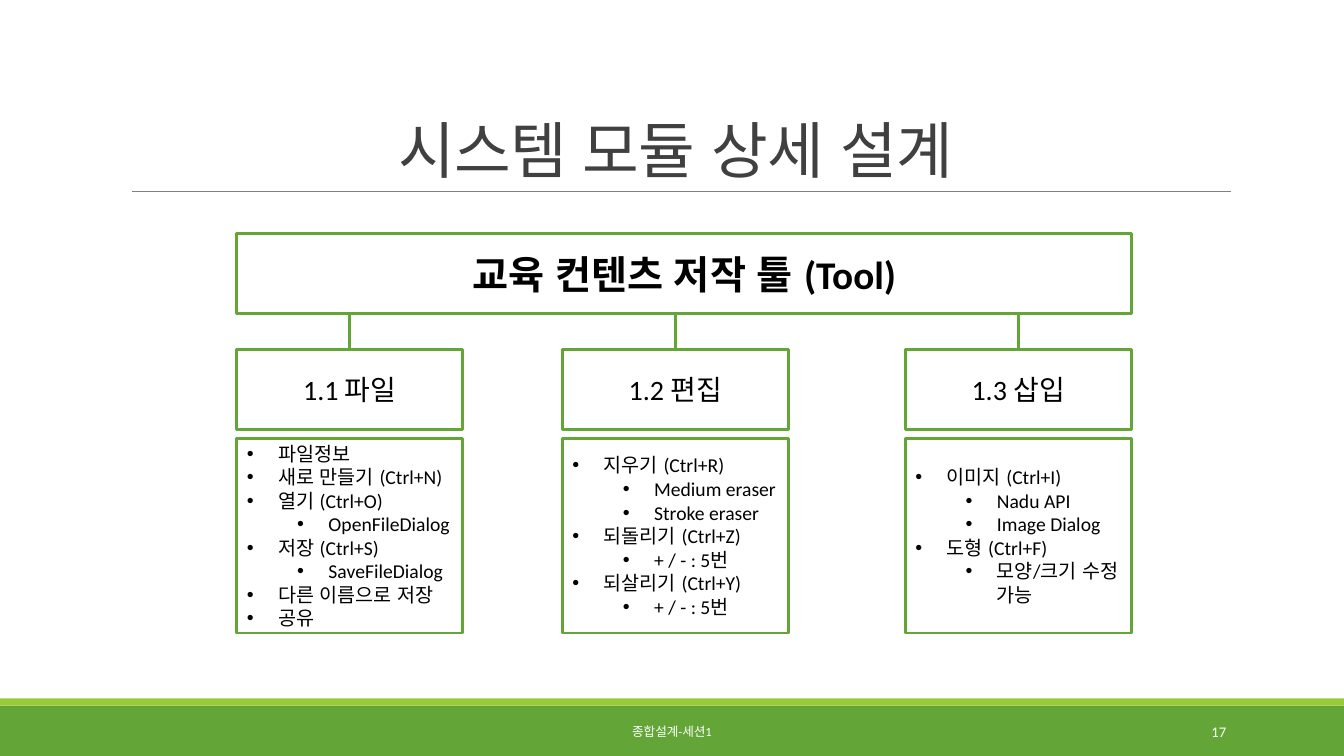
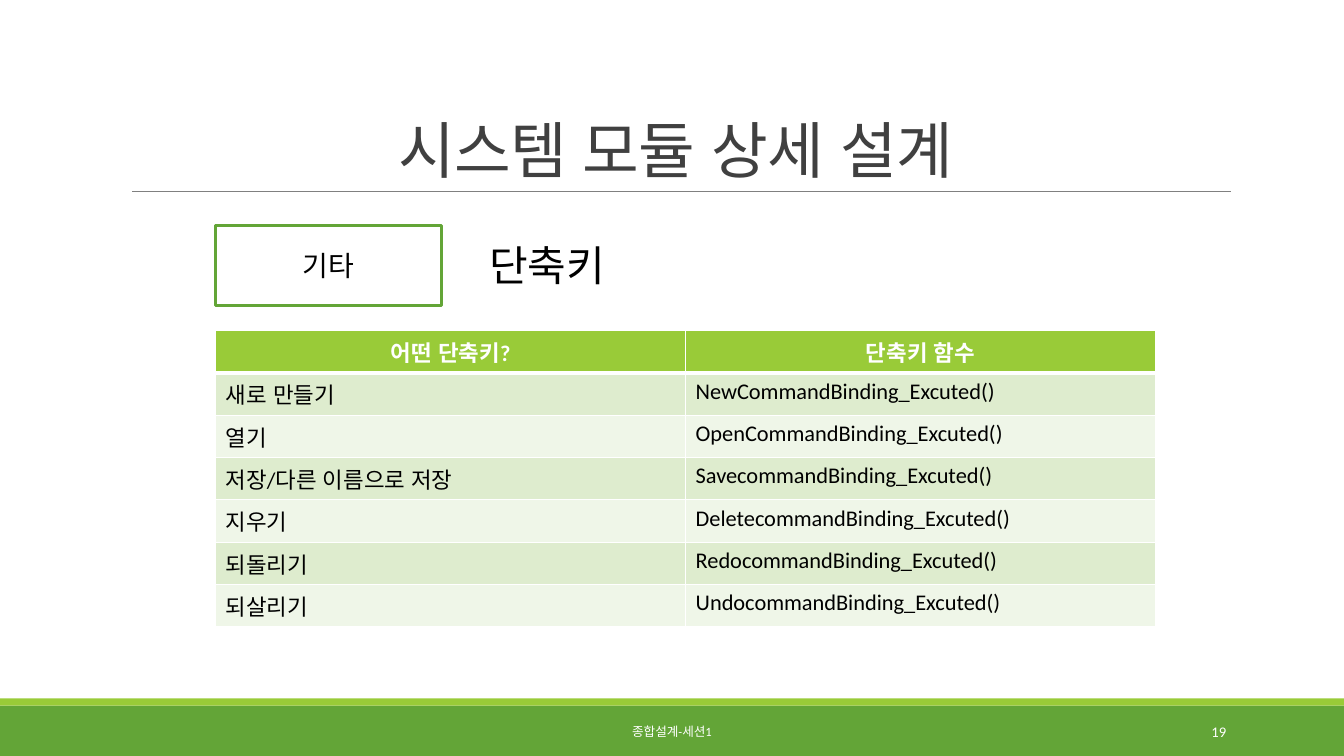
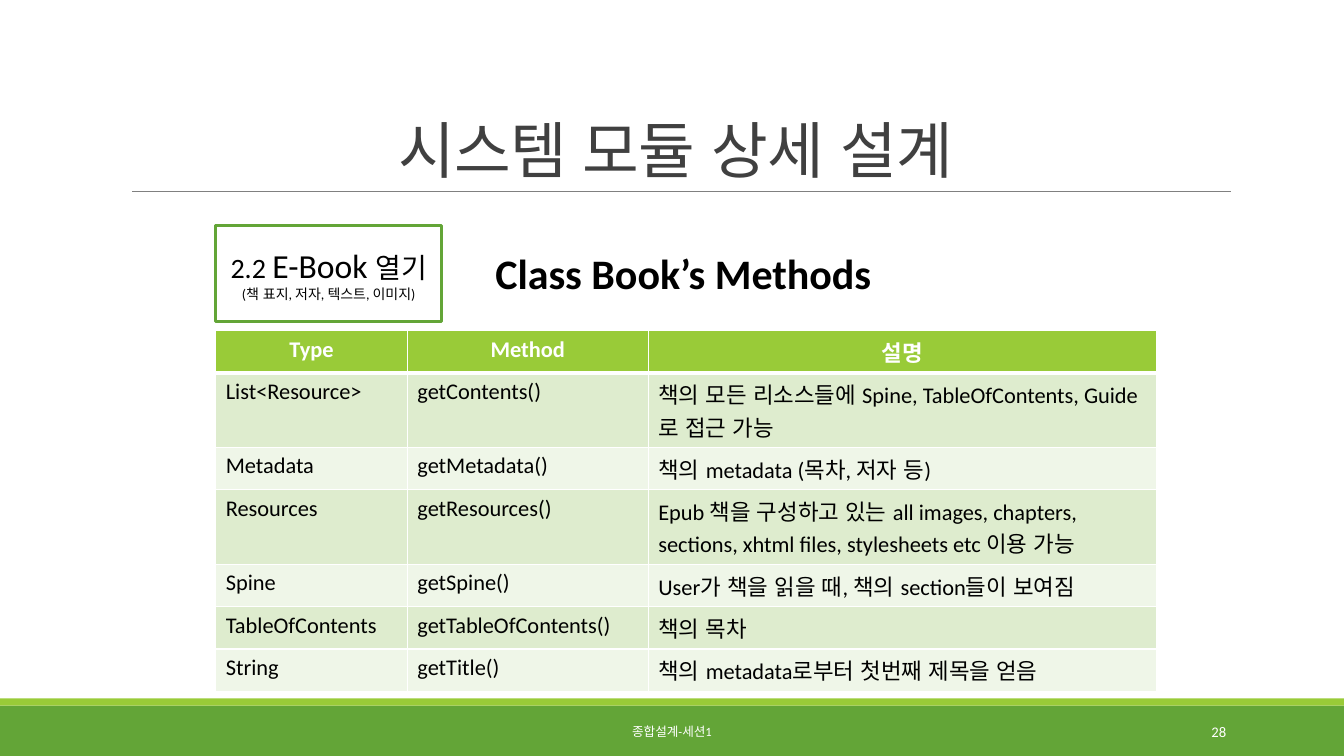
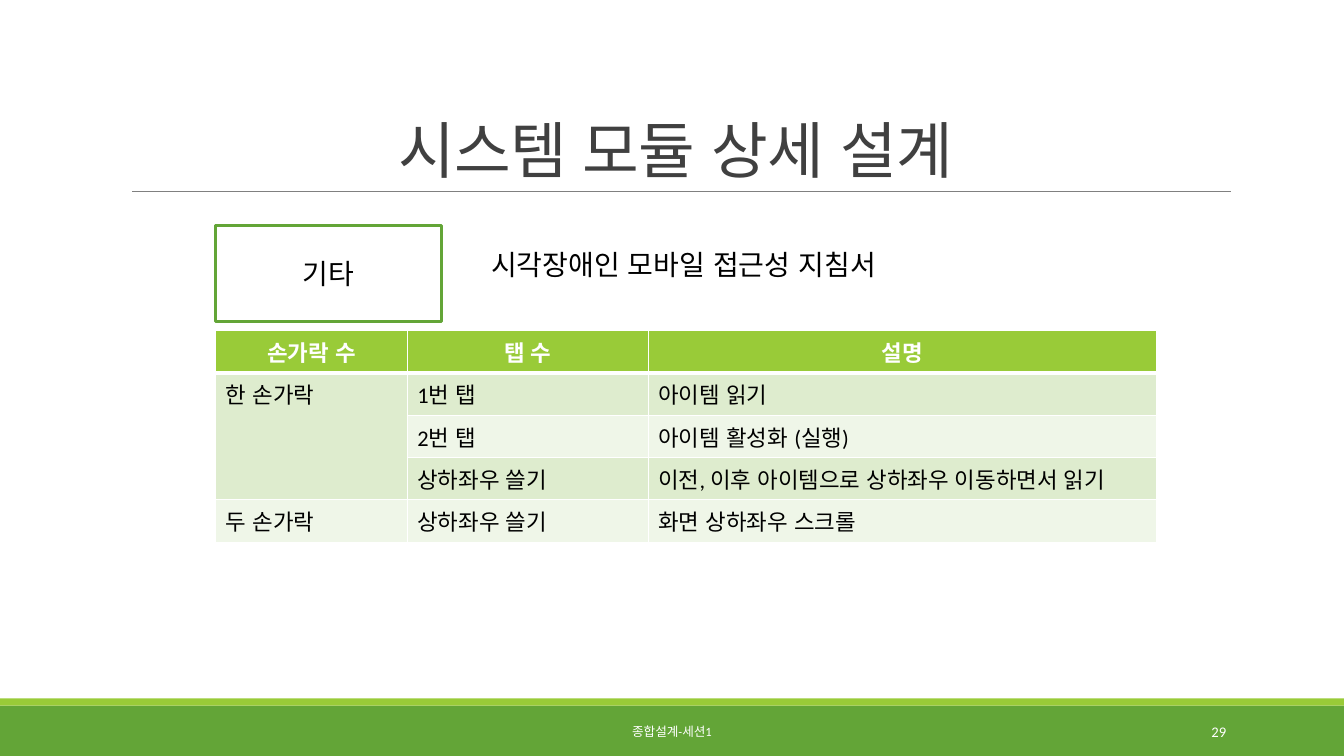
from lxml.etree import SubElement
from pptx import Presentation
from pptx.dml.color import RGBColor
from pptx.enum.lang import MSO_LANGUAGE_ID
from pptx.enum.shapes import MSO_CONNECTOR, MSO_SHAPE
from pptx.enum.text import MSO_ANCHOR, PP_ALIGN
from pptx.oxml.ns import qn
from pptx.util import Inches, Pt

GREEN, LIME, GRAY, DARK = "63A537", "99CB38", "808080", "404040"
BLACK, WHITE = "000000", "FFFFFF"
BANDS = ("EFF6E8", "DEECCE")
FONT = "Calibri"
TITLE = "시스템 모듈 상세 설계"
FOOTER = "종합설계-세션1"
LEFT, TOP, BOX_W, BOX_H = 2.14, 2.24, 2.24, 0.79
TABLE_TOP, ROW_H, TALL_ROW_H = 3.28, 0.42, 0.74


def rgb(color):
    return RGBColor.from_string(color)


def inches(*lengths):
    return [Inches(n) for n in lengths]


class Deck:
    def __init__(self):
        self.prs = Presentation()
        self.prs.slide_width, self.prs.slide_height = inches(13.33, 7.5)
        self.slide = None

    def new_slide(self, number):
        """Add a slide with the shared bands, title, rule and footer."""
        self.slide = self.prs.slides.add_slide(self.prs.slide_layouts[5])
        self.rect((0, 7, 13.33, 0.5), GREEN)
        self.rect((0, 6.93, 13.33, 0.07), LIME)
        self.line((1.31, 1.9), (12.21, 1.9), GRAY, 0.5)
        self.title(TITLE)
        self.text((4.03, 7.06, 5.27, 0.4), FOOTER, size=9, color=WHITE,
                  anchor=MSO_ANCHOR.MIDDLE)
        self.text((10.83, 7.06, 1.43, 0.4), str(number), size=10.5, color=WHITE,
                  align=PP_ALIGN.RIGHT, anchor=MSO_ANCHOR.MIDDLE)

    def run(self, p, text, size, color=BLACK, bold=False):
        r = p.add_run()
        r.text = text
        r.font.color.rgb = rgb(color)
        values = {"name": FONT, "size": Pt(size), "bold": bold,
                  "language_id": MSO_LANGUAGE_ID.KOREAN}
        for name, value in values.items():
            setattr(r.font, name, value)
        return r

    def title(self, text):
        sp = self.slide.shapes.title
        sp.left, sp.top, sp.width, sp.height = inches(1.2, 0.31, 11, 1.59)
        tf = sp.text_frame
        tf.word_wrap, tf.vertical_anchor = True, MSO_ANCHOR.BOTTOM
        p = tf.paragraphs[0]
        p.alignment, p.line_spacing = PP_ALIGN.CENTER, 0.85
        r = self.run(p, text, 44, DARK)
        r.font._element.set("spc", "-50")

    def text(self, at, text, size=20, color=BLACK, bold=False,
             align=PP_ALIGN.CENTER, anchor=MSO_ANCHOR.TOP):
        tf = self.slide.shapes.add_textbox(*inches(*at)).text_frame
        tf.word_wrap, tf.vertical_anchor = True, anchor
        p = tf.paragraphs[0]
        p.alignment = align
        self.run(p, text, size, color, bold)

    def rect(self, at, fill, line=None):
        sp = self.slide.shapes.add_shape(MSO_SHAPE.RECTANGLE, *inches(*at))
        sp.shadow.inherit = False
        sp.fill.solid()
        sp.fill.fore_color.rgb = rgb(fill)
        if line:
            sp.line.color.rgb = rgb(line)
            sp.line.width = Pt(2)
        else:
            sp.line.fill.background()
        return sp

    def line(self, start, end, color, width):
        cx = self.slide.shapes.add_connector(
            MSO_CONNECTOR.STRAIGHT, *inches(*start, *end))
        cx.line.color.rgb = rgb(color)
        cx.line.width = Pt(width)
        SubElement(cx._element.spPr, qn("a:effectLst"))

    def paragraphs(self, tf, count):
        tf.word_wrap, tf.vertical_anchor = True, MSO_ANCHOR.MIDDLE
        return [tf.paragraphs[0]] + [tf.add_paragraph() for _ in range(count - 1)]

    def box(self, at, *lines, bold=False):
        """Outlined box; each line is a list of (text, size) runs."""
        tf = self.rect(at, WHITE, GREEN).text_frame
        for p, runs in zip(self.paragraphs(tf, len(lines)), lines):
            p.alignment = PP_ALIGN.CENTER
            for text, size in runs:
                self.run(p, text, size, bold=bold)

    def list_box(self, at, items):
        """Outlined box of bullets; items are (level, text)."""
        tf = self.rect(at, WHITE, GREEN).text_frame
        for p, (level, text) in zip(self.paragraphs(tf, len(items)), items):
            p.alignment, p.level = PP_ALIGN.LEFT, level
            pPr = p._p.get_or_add_pPr()
            pPr.set("marL", str(Inches(0.31 + 0.5 * level)))
            pPr.set("indent", str(Inches(-0.31)))
            SubElement(pPr, qn("a:buFont"), typeface="Arial")
            SubElement(pPr, qn("a:buChar"), char="•")
            self.run(p, text, 14)

    def borders(self, cell, **widths):
        tcPr = cell._tc.get_or_add_tcPr()
        for side in "LRTB":
            ln = SubElement(tcPr, qn(f"a:ln{side}"), w=str(Pt(widths.get(side, 1))))
            fill = SubElement(ln, qn("a:solidFill"))
            SubElement(fill, qn("a:srgbClr"), val=WHITE)

    def table(self, widths, rows, tall=(), merge=None):
        """Banded table; tall lists the two-line rows, merge two (row, column) corners."""
        heights = [TALL_ROW_H if i in tall else ROW_H for i in range(len(rows))]
        frame = self.slide.shapes.add_table(
            len(rows), len(widths),
            *inches(LEFT, TABLE_TOP, sum(widths), sum(heights)))
        tbl = frame.table
        for col, width in zip(tbl.columns, widths):
            col.width = Inches(width)
        for i, row in enumerate(rows):
            tbl.rows[i].height = Inches(heights[i])
            head = i == 0
            for j, text in enumerate(row):
                cell = tbl.cell(i, j)
                self.borders(cell, B=3 if head else 1, T=3 if i == 1 else 1)
                cell.fill.solid()
                cell.fill.fore_color.rgb = rgb(LIME if head else BANDS[i % 2])
                if text:
                    p = cell.text_frame.paragraphs[0]
                    p.alignment = PP_ALIGN.CENTER if head else PP_ALIGN.LEFT
                    self.run(p, text, 16, WHITE if head else BLACK, head)
        if merge:
            first, last = merge
            tbl.cell(*first).merge(tbl.cell(*last))


def module_slide(deck):
    modules = [
        (2.35, "1.1 파일", [
            (0, "파일정보"), (0, "새로 만들기 (Ctrl+N)"), (0, "열기 (Ctrl+O)"),
            (1, "OpenFileDialog"), (0, "저장 (Ctrl+S)"), (1, "SaveFileDialog"),
            (0, "다른 이름으로 저장"), (0, "공유")]),
        (5.58, "1.2 편집", [
            (0, "지우기 (Ctrl+R)"), (1, "Medium eraser"), (1, "Stroke eraser"),
            (0, "되돌리기 (Ctrl+Z)"), (1, "+ / - : 5번"),
            (0, "되살리기 (Ctrl+Y)"), (1, "+ / - : 5번")]),
        (8.98, "1.3 삽입", [
            (0, "이미지 (Ctrl+I)"), (1, "Nadu API"), (1, "Image Dialog"),
            (0, "도형 (Ctrl+F)"), (1, "모양/크기 수정 가능")]),
    ]
    root_top, head_top, list_top = 2.32, 3.47, 4.35
    deck.new_slide(17)
    for left, name, items in modules:
        center = left + BOX_W / 2
        deck.line((center, root_top + BOX_H), (center, head_top), GREEN, 2)
        deck.box((left, head_top, BOX_W, BOX_H), [(name, 20)])
        deck.list_box((left, list_top, BOX_W, 1.93), items)
    deck.box((2.35, root_top, 8.87, BOX_H), [("교육 컨텐츠 저작 툴 (Tool)", 28)],
             bold=True)


def shortcut_slide(deck):
    deck.new_slide(19)
    deck.box((LEFT, TOP, BOX_W, BOX_H), [("기타", 20)])
    deck.text((4.39, 2.33, 2.07, 0.61), "단축키", size=30)
    deck.table([4.66, 4.66], [
        ("어떤 단축키?", "단축키 함수"),
        ("새로 만들기", "NewCommandBinding_Excuted()"),
        ("열기", "OpenCommandBinding_Excuted()"),
        ("저장/다른 이름으로 저장", "SavecommandBinding_Excuted()"),
        ("지우기", "DeletecommandBinding_Excuted()"),
        ("되돌리기", "RedocommandBinding_Excuted()"),
        ("되살리기", "UndocommandBinding_Excuted()"),
    ])


def book_slide(deck):
    deck.new_slide(28)
    deck.box((LEFT, TOP, BOX_W, 0.95),
             [("2.2 ", 20), ("E-Book ", 24), ("열기", 20)],
             [("(책 표지, 저자, 텍스트, 이미지)", 10)])
    deck.text((4.38, 2.41, 4.8, 0.61), "Class Book’s Methods", size=30, bold=True)
    deck.table([1.9, 2.39, 5.04], [
        ("Type", "Method", "설명"),
        ("List<Resource>", "getContents()",
         "책의 모든 리소스들에 Spine, TableOfContents, Guide로 접근 가능"),
        ("Metadata", "getMetadata()", "책의 metadata (목차, 저자 등)"),
        ("Resources", "getResources()",
         "Epub 책을 구성하고 있는 all images, chapters, sections, "
         "xhtml files, stylesheets etc 이용 가능"),
        ("Spine", "getSpine()", "User가 책을 읽을 때, 책의 section들이 보여짐"),
        ("TableOfContents", "getTableOfContents()", "책의 목차"),
        ("String", "getTitle()", "책의 metadata로부터 첫번째 제목을 얻음"),
    ], tall=(1, 3))


def gesture_slide(deck):
    deck.new_slide(29)
    deck.box((LEFT, TOP, BOX_W, 0.95), [("기타", 20)])
    deck.text((4.38, 2.41, 4.8, 0.44), "시각장애인 모바일 접근성 지침서")
    deck.table([1.9, 2.39, 5.04], [
        ("손가락 수", "탭 수", "설명"),
        ("한 손가락", "1번 탭", "아이템 읽기"),
        ("", "2번 탭", "아이템 활성화 (실행)"),
        ("", "상하좌우 쓸기", "이전, 이후 아이템으로 상하좌우 이동하면서 읽기"),
        ("두 손가락", "상하좌우 쓸기", "화면 상하좌우 스크롤"),
    ], merge=((1, 0), (3, 0)))


def main():
    deck = Deck()
    for build in (module_slide, shortcut_slide, book_slide, gesture_slide):
        build(deck)
    deck.prs.save("out.pptx")


if __name__ == "__main__":
    main()
